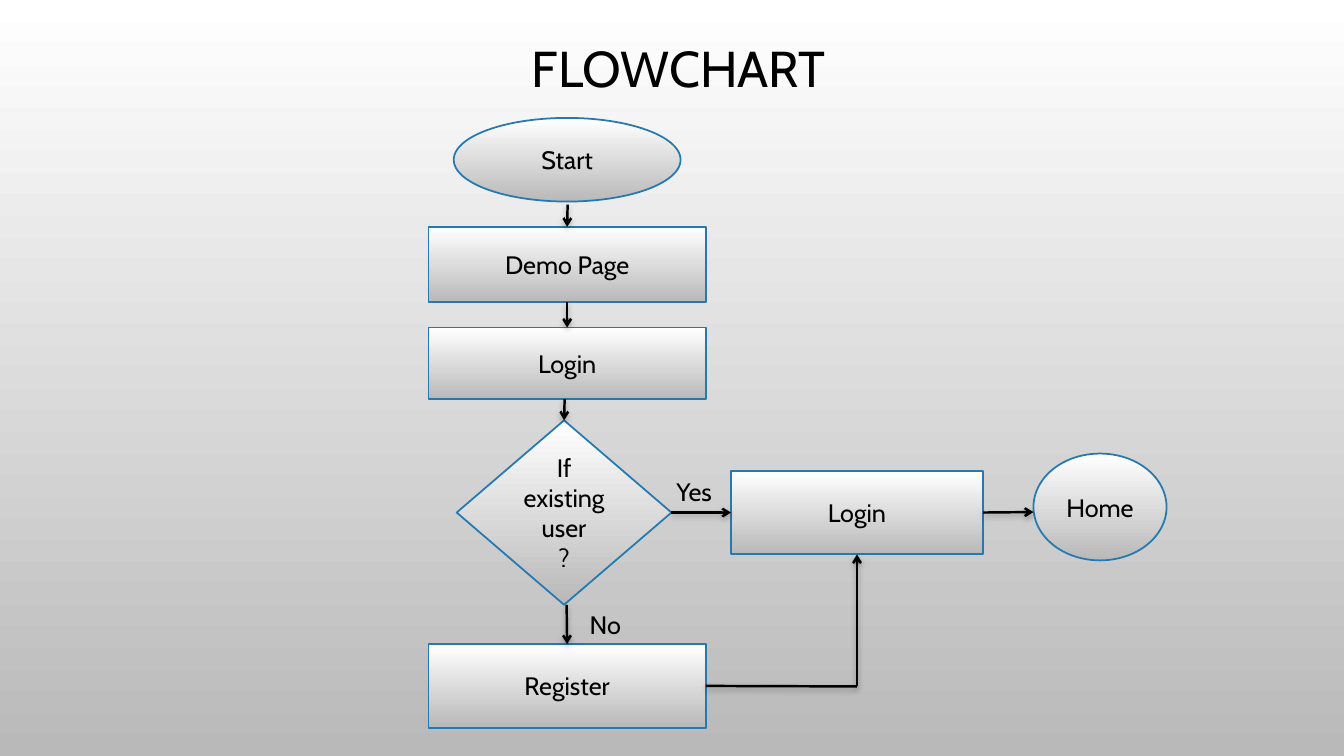
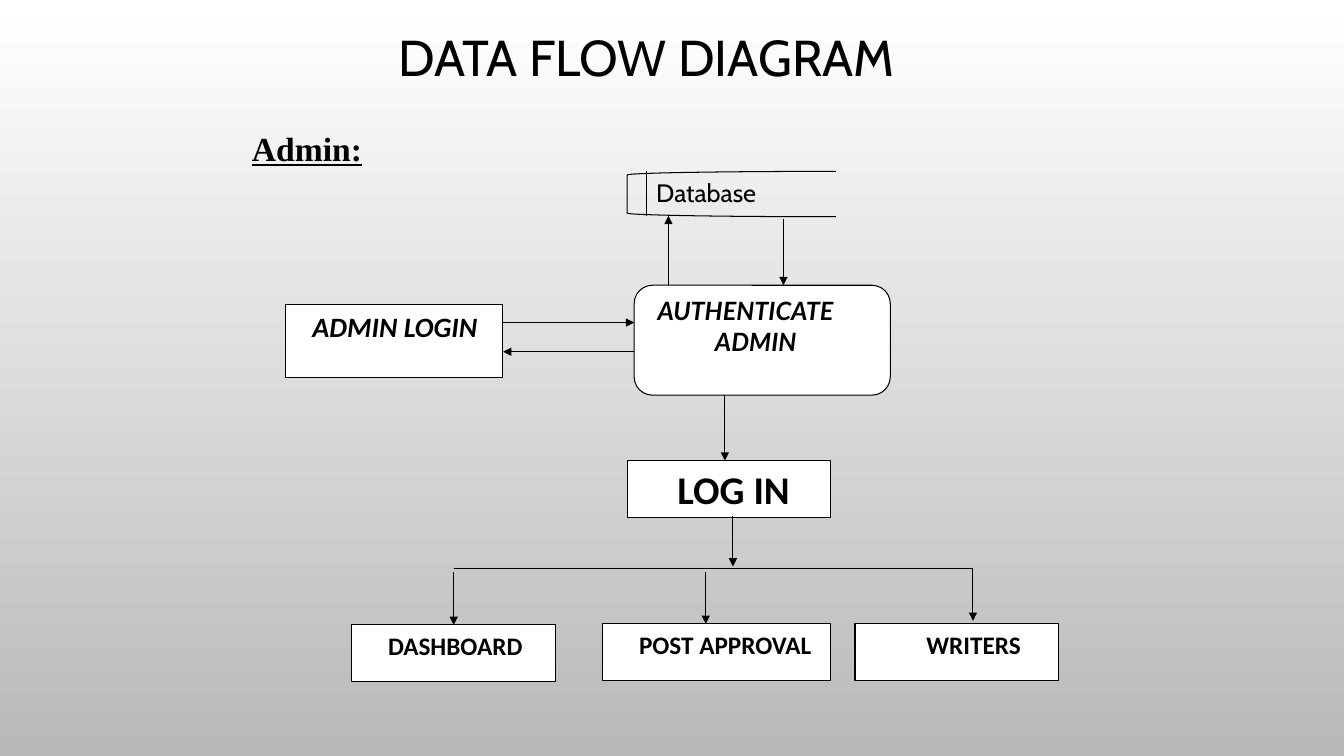
from dataclasses import dataclass

from lxml import etree
from pptx import Presentation
from pptx import util as u
from pptx.dml.color import RGBColor
from pptx.enum import shapes, text
from pptx.oxml.ns import qn

SHAPE = shapes.MSO_SHAPE
ALIGN = text.PP_ALIGN
ANCHOR = text.MSO_ANCHOR
TOP, LEFT, BOTTOM, RIGHT = range(4)


@dataclass(frozen=True)
class Theme:
    ink: RGBColor = RGBColor(0, 0, 0)
    paper: RGBColor = RGBColor(0xFF, 0xFF, 0xFF)
    shade: RGBColor = RGBColor(0xB9, 0xB9, 0xB9)
    accent: RGBColor = RGBColor(0x23, 0x79, 0xB0)
    main_font: str = "Cabin"
    box_font: str = "Calibri"
    process_font: str = "Lato"
    heading_font: str = "Times New Roman"
    title: int = 36
    large: int = 28
    heading: int = 24
    medium: int = 20
    body: int = 18
    thin: float = 0.75
    outline: float = 1.25
    thick: float = 1.75


THEME = Theme()

# Content: flowchart. Boxes are (left, top, width, height) in inches.
FLOW_TITLE = ("FLOWCHART", (3.17, 0.08, 7.12, 1.25))
FLOW_STEPS = {
    "start": (SHAPE.OVAL, (4.5, 1.17, 2.25, 0.83), ["Start"]),
    "demo": (SHAPE.RECTANGLE, (4.25, 2.25, 2.75, 0.75), ["Demo Page"]),
    "login": (SHAPE.RECTANGLE, (4.25, 3.25, 2.75, 0.71), ["Login"]),
    "member": (SHAPE.RECTANGLE, (7.25, 4.67, 2.5, 0.83), ["Login"]),
    "register": (SHAPE.RECTANGLE, (4.25, 6.39, 2.75, 0.83), ["Register"]),
    "decision": (SHAPE.DIAMOND, (4.53, 4.17, 2.13, 1.83),
                 ["If existing user", "?"]),
    "home": (SHAPE.OVAL, (10.25, 4.5, 1.32, 1.06), ["Home"]),
}
# An end is a point or a (step, side) pair; the last item is the arrowhead.
FLOW_LINKS = [
    ((5.63, 2.03), ("demo", TOP), "arrow"),
    (("demo", BOTTOM), ("login", TOP), "arrow"),
    ((5.6, 3.96), ("decision", TOP), "arrow"),
    ((5.62, 6), ("register", TOP), "arrow"),
    (("decision", RIGHT), ("member", LEFT), "arrow"),
    (("member", RIGHT), (10.25, 5.08), "arrow"),
    (("register", RIGHT), (8.5, 6.81), None),
    ((8.5, 6.81), ("member", BOTTOM), "arrow"),
]
FLOW_ANSWERS = [("Yes", (6.61, 4.68, 1.08, 0.4)),
                ("No", (5.75, 6, 1.08, 0.4))]

# Content: data flow diagram. Each line of text is (words, indent).
DATA_TITLE = ("DATA FLOW DIAGRAM", (2.85, -0.03, 7.12, 1.25))
ADMIN_HEADING = ("Admin:", (2.4, 1.23, 1.44, 0.47))
DATABASE = ("Database", (6.41, 1.71, 1.76, 0.4))
DATABASE_BRACKET = (6.22, 1.7, 2.07, 0.45)
ITALIC = {"bold": True, "italic": True}
BOLD = {"bold": True}
DATA_BOXES = {
    "admin": (SHAPE.RECTANGLE, (2.83, 3.02, 2.15, 0.73), THEME.medium,
              THEME.box_font, ITALIC, [("ADMIN LOGIN", 0.17)]),
    "authenticate": (SHAPE.ROUNDED_RECTANGLE, (6.29, 2.83, 2.54, 1.09),
                     THEME.body, THEME.process_font, ITALIC,
                     [("AUTHENTICATE", 0.08), ("ADMIN", 0.65)]),
    "log in": (SHAPE.RECTANGLE, (6.22, 4.57, 2.02, 0.56), THEME.large,
               THEME.box_font, BOLD, [("LOG IN", 0.4)]),
    "dashboard": (SHAPE.RECTANGLE, (3.49, 6.2, 2.02, 0.56), THEME.body,
                  THEME.box_font, BOLD, [("DASHBOARD", 0.26)]),
    "approval": (SHAPE.RECTANGLE, (5.98, 6.19, 2.26, 0.56), THEME.body,
                 THEME.box_font, BOLD, [("POST APPROVAL", 0.26)]),
    "writers": (SHAPE.RECTANGLE, (8.48, 6.19, 2.02, 0.56), THEME.body,
                THEME.box_font, BOLD, [("WRITERS", 0.61)]),
}
DATA_LINKS = [
    ((6.63, 2.83), (6.63, 2.14), "triangle"),
    ((7.77, 2.17), (7.77, 2.83), "triangle"),
    ((4.99, 3.2), (6.29, 3.2), "triangle"),
    ((6.29, 3.49), (4.99, 3.49), "triangle"),
    ((7.19, 3.92), (7.19, 4.57), "triangle"),
    ((7.27, 5.12), (7.27, 5.62), "triangle"),
    ((4.5, 5.64), (9.65, 5.64), None),
    ((4.5, 5.67), ("dashboard", TOP), "triangle"),
    ((7, 5.67), (7, 6.19), "triangle"),
    ((9.65, 5.64), (9.65, 6.16), "triangle"),
    ((6.41, 1.7), (6.41, 2.14), None),
]


# Shared helpers
def inches(values):
    return [u.Inches(value) for value in values]


def shade_down(fill):
    fill.gradient()
    fill.gradient_angle = 270
    for stop, colour in zip(fill.gradient_stops, (THEME.paper, THEME.shade)):
        stop.color.rgb = colour


def write(frame, lines, size, font, align=ALIGN.LEFT, anchor=ANCHOR.TOP,
          **emphasis):
    frame.word_wrap = True
    frame.vertical_anchor = anchor
    frame.text = "\n".join(lines)
    for paragraph in frame.paragraphs:
        paragraph.alignment = align
        for run in paragraph.runs:
            run.font.size = u.Pt(size)
            run.font.name = font
            run.font.color.rgb = THEME.ink
            for name, value in emphasis.items():
                setattr(run.font, name, value)


def add_titled_slide(prs, words, box):
    slide = prs.slides.add_slide(prs.slide_layouts[5])
    title = slide.shapes.title
    title.left, title.top, title.width, title.height = inches(box)
    write(title.text_frame, [words], THEME.title, THEME.main_font,
          ALIGN.CENTER, ANCHOR.MIDDLE)
    title.text_frame.paragraphs[0].line_spacing = 0.9
    return slide


def add_label(slide, words, box, size=THEME.body, font=THEME.main_font,
              **emphasis):
    label = slide.shapes.add_textbox(*inches(box))
    write(label.text_frame, [words], size, font, **emphasis)


def add_outlined(slide, kind, box, colour, width):
    part = slide.shapes.add_shape(kind, *inches(box))
    part.shadow.inherit = False
    part.line.color.rgb = colour
    part.line.width = u.Pt(width)
    return part


def add_link(slide, parts, begin, end, head, width, shadow=False):
    link = slide.shapes.add_connector(shapes.MSO_CONNECTOR.STRAIGHT, 0, 0, 0, 0)
    if begin[0] in parts:
        link.begin_connect(parts[begin[0]], begin[1])
    else:
        link.begin_x, link.begin_y = inches(begin)
    if end[0] in parts:
        link.end_connect(parts[end[0]], end[1])
    else:
        link.end_x, link.end_y = inches(end)
    link.line.color.rgb = THEME.ink
    link.line.width = u.Pt(width)
    if head:
        etree.SubElement(link.line._get_or_add_ln(), qn("a:tailEnd"), type=head)
    effects = etree.SubElement(link._element.spPr, qn("a:effectLst"))
    if shadow:
        cast = etree.SubElement(
            effects, qn("a:outerShdw"), blurRad=str(u.Pt(4)),
            dist=str(u.Pt(2)), dir="5400000", rotWithShape="0")
        colour = etree.SubElement(cast, qn("a:srgbClr"), val=str(THEME.ink))
        etree.SubElement(colour, qn("a:alpha"), val="28000")


# Slides
def build_flowchart(prs):
    slide = add_titled_slide(prs, *FLOW_TITLE)
    steps = {}
    for key, (kind, box, lines) in FLOW_STEPS.items():
        step = add_outlined(slide, kind, box, THEME.accent, THEME.outline)
        shade_down(step.fill)
        write(step.text_frame, lines, THEME.body, THEME.main_font,
              ALIGN.CENTER, ANCHOR.MIDDLE)
        steps[key] = step
    for begin, end, head in FLOW_LINKS:
        add_link(slide, steps, begin, end, head, THEME.thick, shadow=True)
    for words, box in FLOW_ANSWERS:
        add_label(slide, words, box)


def build_data_flow(prs):
    slide = add_titled_slide(prs, *DATA_TITLE)
    boxes = {}
    for key, (kind, box, size, font, emphasis, lines) in DATA_BOXES.items():
        process = add_outlined(slide, kind, box, THEME.ink, THEME.thin)
        process.fill.solid()
        process.fill.fore_color.rgb = THEME.paper
        frame = process.text_frame
        write(frame, [words for words, _ in lines], size, font, **emphasis)
        for paragraph, (_, indent) in zip(frame.paragraphs, lines):
            paragraph._p.get_or_add_pPr().set("marL", str(u.Inches(indent)))
        boxes[key] = process
    bracket = add_outlined(slide, SHAPE.LEFT_BRACKET, DATABASE_BRACKET,
                           THEME.ink, THEME.thin)
    bracket.fill.background()
    bracket.adjustments[0] = 0.08
    for begin, end, head in DATA_LINKS:
        add_link(slide, boxes, begin, end, head, THEME.thin)
    add_label(slide, *ADMIN_HEADING, THEME.heading, THEME.heading_font,
              anchor=ANCHOR.MIDDLE, bold=True, underline=True)
    add_label(slide, *DATABASE)


def main():
    prs = Presentation()
    prs.slide_width, prs.slide_height = inches((13.33, 7.5))
    shade_down(prs.slide_master.background.fill)
    build_flowchart(prs)
    build_data_flow(prs)
    prs.save("out.pptx")


if __name__ == "__main__":
    main()
